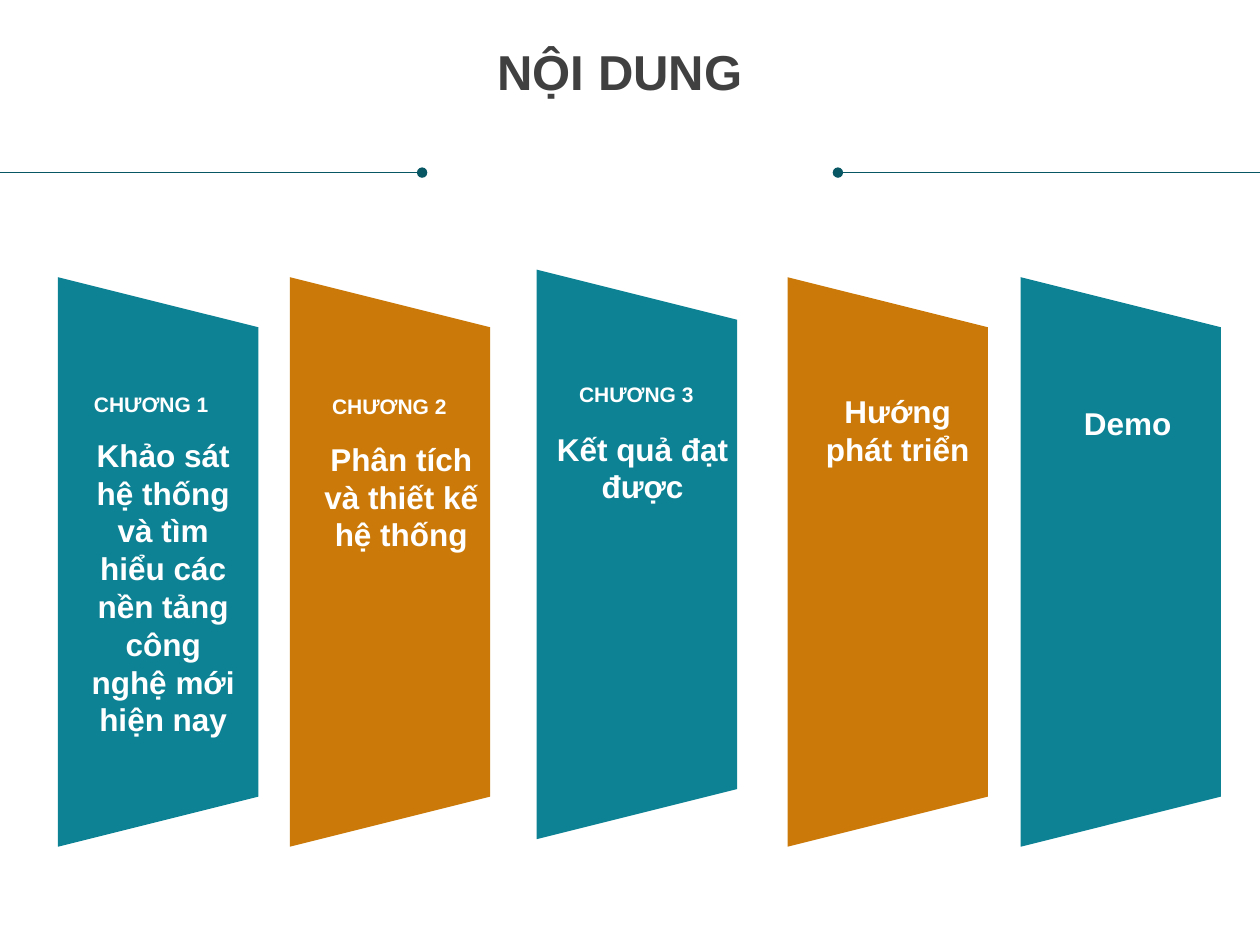
from pptx import Presentation
from pptx.dml.color import RGBColor
from pptx.enum.shapes import MSO_CONNECTOR, MSO_SHAPE
from pptx.enum.text import MSO_ANCHOR, MSO_AUTO_SIZE, PP_ALIGN
from pptx.oxml.ns import qn
from pptx.util import Inches, Pt
from lxml import etree

TEAL = RGBColor(0x0D, 0x82, 0x95)
ORANGE = RGBColor(0xCB, 0x7A, 0x09)
DARK = RGBColor(0x08, 0x57, 0x64)
GRAY = RGBColor(0x40, 0x40, 0x40)
WHITE = RGBColor(0xFF, 0xFF, 0xFF)
FONT = "Arial"
STRAIGHT = MSO_CONNECTOR.STRAIGHT
TRAPEZOID = MSO_SHAPE.TRAPEZOID
TOP = MSO_ANCHOR.TOP
NO_FIT = MSO_AUTO_SIZE.NONE
CENTER = PP_ALIGN.CENTER

PANEL_W, PANEL_H = 1.59, 4.52
# Panel left and top, chapter (text, dx, dy), topic (text, dx, dy, width)
PANELS = [
    (0.46, 2.2, ("CHƯƠNG 1", 0.18, 0.91),
     ("Khảo sát hệ thống và tìm hiểu các nền tảng công nghệ mới hiện nay",
      0.24, 1.26, 1.19)),
    (2.3, 2.2, ("CHƯƠNG 2", 0.23, 0.92),
     ("Phân tích và thiết kế hệ thống", 0.27, 1.29, 1.23)),
    (4.26, 2.14, ("CHƯƠNG 3", 0.23, 0.89),
     ("Kết quả đạt được", 0.12, 1.27, 1.44)),
    (6.25, 2.2, None, ("Hướng phát triển", 0.26, 0.91, 1.23)),
    (8.1, 2.2, None, ("Demo", 0.13, 1.01, 1.44)),
]


def set_text(shape, text, size, color):
    frame = shape.text_frame
    frame.margin_left = frame.margin_right = 0
    frame.margin_top = frame.margin_bottom = 0
    frame.word_wrap = True
    frame.auto_size = NO_FIT
    frame.vertical_anchor = TOP
    frame.text = text
    para = frame.paragraphs[0]
    para.alignment = CENTER
    font = para.font
    font.name, font.size, font.bold = FONT, Pt(size), True
    font.color.rgb = color


def add_label(slide, text, left, top, width, height, size):
    box = slide.shapes.add_textbox(
        Inches(left), Inches(top), Inches(width), Inches(height))
    set_text(box, text, size, WHITE)


def add_title(slide, left, top, width, height):
    title = slide.shapes.title
    title.left, title.top = Inches(left), Inches(top)
    title.width, title.height = Inches(width), Inches(height)
    set_text(title, "NỘI DUNG", 28, GRAY)
    title.text_frame.paragraphs[0].line_spacing = 0.9


def add_rule(slide, edge, dot, y):
    """Draw a thin line from the slide edge to a round dot."""
    rule = slide.shapes.add_connector(
        STRAIGHT, Inches(edge), Inches(y), Inches(dot), Inches(y))
    rule.line.color.rgb = DARK
    rule.line.width = Pt(0.5)
    tail = etree.SubElement(rule.line._get_or_add_ln(), qn("a:tailEnd"))
    tail.set("type", "oval")
    props = rule._element.spPr
    etree.SubElement(props, qn("a:effectLst"))


def add_panel(slide, left, top, color, chapter, topic):
    # The trapezoid turns about its centre, so its sides swap.
    shift = (PANEL_H - PANEL_W) / 2
    panel = slide.shapes.add_shape(
        TRAPEZOID, Inches(left - shift), Inches(top + shift),
        Inches(PANEL_H), Inches(PANEL_W))
    panel.rotation = 90
    panel.shadow.inherit = False
    panel.fill.solid()
    panel.fill.fore_color.rgb = color
    panel.line.fill.background()
    if chapter:
        text, dx, dy = chapter
        add_label(slide, text, left + dx, top + dy, 1.12, 0.2, 12)
    text, dx, dy, width = topic
    add_label(slide, text, left + dx, top + dy, width,
              PANEL_H - dy - 0.8, 18)


def main():
    deck = Presentation()
    deck.slide_width, deck.slide_height = Inches(10), Inches(7.5)
    slide = deck.slides.add_slide(deck.slide_layouts[5])
    add_title(slide, 0.11, 0.38, 9.62, 0.42)
    add_rule(slide, 0, 3.35, 1.37)
    add_rule(slide, 10, 6.65, 1.37)
    for i, (left, top, chapter, topic) in enumerate(PANELS):
        color = ORANGE if i % 2 else TEAL
        add_panel(slide, left, top, color, chapter, topic)
    deck.save("out.pptx")


if __name__ == "__main__":
    main()
